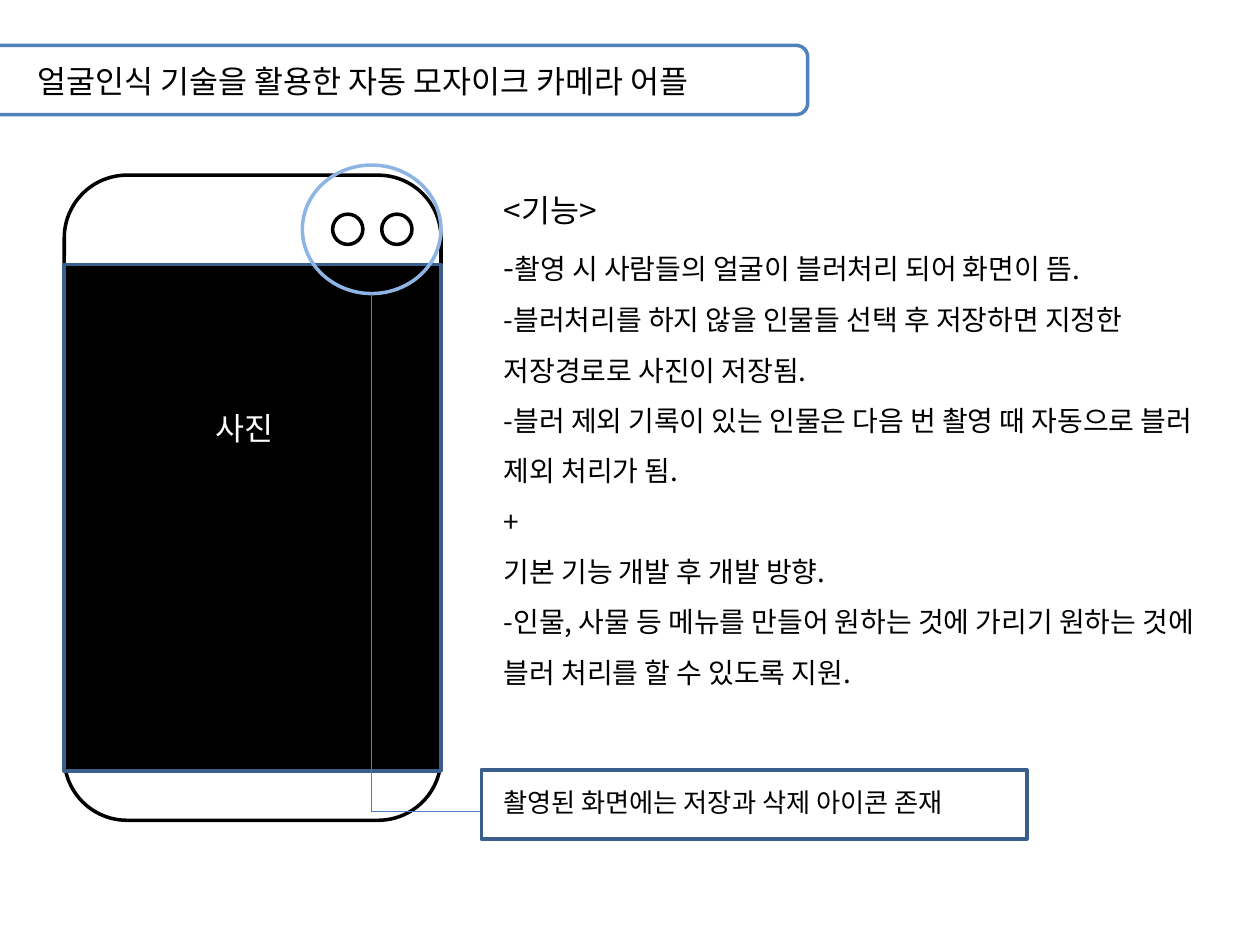
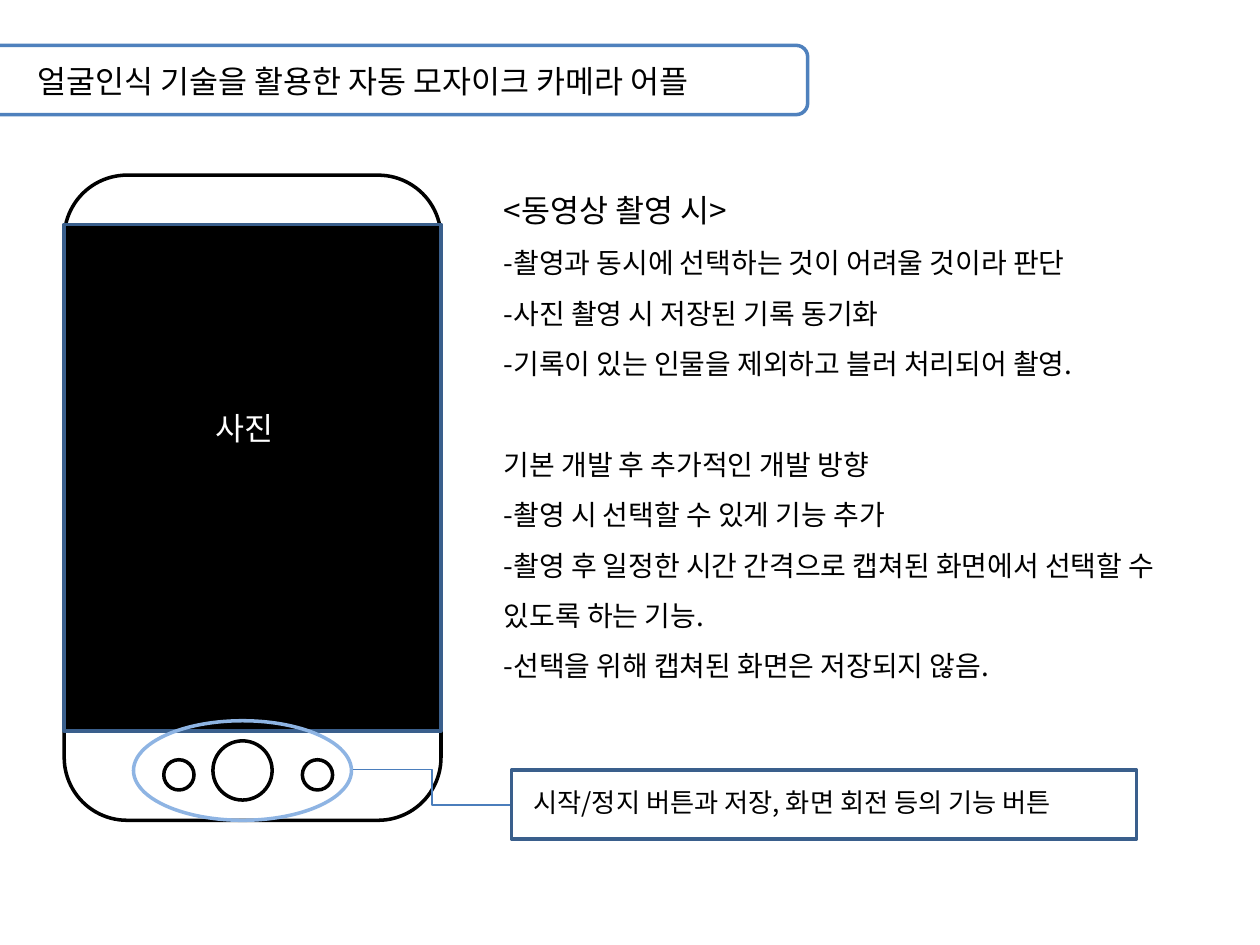
from lxml.etree import SubElement
from pptx import Presentation
from pptx.dml.color import RGBColor
from pptx.enum.shapes import MSO_CONNECTOR, MSO_SHAPE
from pptx.enum.text import MSO_AUTO_SIZE
from pptx.oxml.ns import qn
from pptx.util import Inches, Pt

# The slide is a grid of 100 columns by 75 rows, each cell 0.1 inch.
COLUMNS, ROWS, CELL = 100, 75, 0.1

BLACK = RGBColor(0x00, 0x00, 0x00)
WHITE = RGBColor(0xFF, 0xFF, 0xFF)
TITLE_BLUE = RGBColor(0x4F, 0x81, 0xBD)
FRAME_BLUE = RGBColor(0x3A, 0x5F, 0x8C)
RING_BLUE = RGBColor(0x8E, 0xB4, 0xE3)
LINK_BLUE = RGBColor(0x4B, 0x7E, 0xBC)

FONT = "Noto Sans CJK KR"
HEADING_SIZE, BODY_SIZE, CALLOUT_SIZE = 18, 16, 15
BODY_SPACING = 1.5
SECTION_GAP = 28.8  # one body line, in points

TITLE = "얼굴인식 기술을 활용한 자동 모자이크 카메라 어플"
PHONE_LEFT, PHONE_WIDTH = 5.1, 29.9
CALLOUT_TOP, CALLOUT_HEIGHT = 61.1, 5.5
BUTTON = 2.4


def grid(*cells):
    """Turn grid cells into lengths."""
    return [Inches(cell * CELL) for cell in cells]


class Deck:
    """Holds the style and the slide being drawn."""

    def __init__(self):
        self.presentation = Presentation()
        self.presentation.slide_width, self.presentation.slide_height = grid(COLUMNS, ROWS)
        self.slide = None

    def new_slide(self):
        """Start a blank slide with the shared title band."""
        self.slide = self.presentation.slides.add_slide(self.presentation.slide_layouts[6])
        self.outline(MSO_SHAPE.ROUNDED_RECTANGLE, (-2.8, 3.6, 66.9, 5.5), TITLE_BLUE)
        self.text((2, 4.4, 63, 4), TITLE)

    def outline(self, kind, box, color, fill=None):
        """Draw an outlined preset shape, empty unless a fill is given."""
        shape = self.slide.shapes.add_shape(kind, *grid(*box))
        shape.shadow.inherit = False
        if fill is None:
            shape.fill.background()
        else:
            shape.fill.solid()
            shape.fill.fore_color.rgb = fill
        shape.line.color.rgb = color
        shape.line.width = Pt(2)

    def style(self, paragraph, size, color=BLACK):
        """Set the font of a paragraph, for Latin and Korean letters."""
        font = paragraph.font
        font.size = Pt(size)
        font.color.rgb = color
        font.name = FONT
        defaults = paragraph._p.pPr.find(qn("a:defRPr"))
        SubElement(defaults, qn("a:ea")).set("typeface", FONT)

    def text(self, box, words, size=HEADING_SIZE, color=BLACK):
        """Add a text box with one paragraph and return its frame."""
        frame = self.slide.shapes.add_textbox(*grid(*box)).text_frame
        frame.word_wrap = True
        frame.auto_size = MSO_AUTO_SIZE.SHAPE_TO_FIT_TEXT
        frame.text = words
        self.style(frame.paragraphs[0], size, color)
        return frame

    def body(self, height, heading, sections, large_dash=False):
        """Add a heading and sections of lines set apart by one line."""
        frame = self.text((39, 14.7, 58.3, height), heading)
        for section_index, lines in enumerate(sections):
            for line_index, line in enumerate(lines):
                paragraph = frame.add_paragraph()
                paragraph.line_spacing = BODY_SPACING
                if section_index and not line_index:
                    paragraph.space_before = Pt(SECTION_GAP)
                self.style(paragraph, BODY_SIZE)
                if large_dash and section_index == line_index == 0:
                    paragraph.add_run().text = line[0]
                    paragraph.runs[0].font.size = Pt(HEADING_SIZE)
                    line = line[1:]
                paragraph.add_run().text = line

    def phone(self, screen_top, buttons):
        """Draw the phone, its round parts and its labelled screen."""
        self.outline(MSO_SHAPE.ROUNDED_RECTANGLE, (PHONE_LEFT, 13.9, PHONE_WIDTH, 51.2), BLACK)
        for left, top, diameter in buttons:
            self.ring((left, top, diameter, diameter), BLACK)
        self.outline(MSO_SHAPE.RECTANGLE, (PHONE_LEFT, screen_top, PHONE_WIDTH, 40.2),
                     FRAME_BLUE, BLACK)
        self.text((16.1, 32, 8.7, 4), "사진", color=WHITE)

    def ring(self, box, color=RING_BLUE):
        """Draw an open ellipse."""
        self.outline(MSO_SHAPE.OVAL, box, color)

    def elbow(self, start, end, bend=0.5, down_first=False):
        """Link two points with a bent line, leaving sideways or downwards."""
        width, height = end[0] - start[0], end[1] - start[1]
        middle_x, middle_y = start[0] + width / 2, start[1] + height / 2
        if down_first:
            width, height = height, width
        left, top = middle_x - width / 2, middle_y - height / 2
        connector = self.slide.shapes.add_connector(
            MSO_CONNECTOR.ELBOW, *grid(left, top, left + width, top + height))
        connector.line.color.rgb = LINK_BLUE
        connector.line.width = Pt(0.75)
        properties = connector._element.spPr
        if down_first:
            transform = properties.find(qn("a:xfrm"))
            transform.set("rot", str(270 * 60000))
            transform.set("flipH", "1")
        guide = SubElement(properties.find(qn("a:prstGeom")).find(qn("a:avLst")), qn("a:gd"))
        guide.set("name", "adj1")
        guide.set("fmla", f"val {round(bend * 100000)}")
        SubElement(properties, qn("a:effectLst"))

    def callout(self, left, width, words):
        """Add a framed remark beside the foot of the phone."""
        self.text((left + 0.75, CALLOUT_TOP + 0.8, width, 3.5), words, CALLOUT_SIZE)
        self.outline(MSO_SHAPE.RECTANGLE, (left, CALLOUT_TOP, width, CALLOUT_HEIGHT), FRAME_BLUE)


def photo_slide(deck):
    """Build the slide on what the app does with photos."""
    deck.new_slide()
    deck.body(44.9, "<기능>", [[
        "-촬영 시 사람들의 얼굴이 블러처리 되어 화면이 뜸.",
        "-블러처리를 하지 않을 인물들 선택 후 저장하면 지정한 저장경로로 사진이 저장됨.",
        "-블러 제외 기록이 있는 인물은 다음 번 촬영 때 자동으로 블러 제외 처리가 됨.",
        "+",
        "기본 기능 개발 후 개발 방향.",
        "-인물, 사물 등 메뉴를 만들어 원하는 것에 가리기 원하는 것에 블러 처리를 할 수 있도록 지원.",
    ]], large_dash=True)
    deck.phone(21, [(left, 17, BUTTON) for left in (26.4, 30.3)])
    deck.ring((24, 13.1, 11, 10.2))
    deck.elbow((29.5, 23.3), (38.2, 64.3), bend=1.003, down_first=True)
    deck.callout(38.2, 43.3, "촬영된 화면에는 저장과 삭제 아이콘 존재")


def video_slide(deck):
    """Build the slide on recording video."""
    deck.new_slide()
    deck.body(40.4, "<동영상 촬영 시>", [[
        "-촬영과 동시에 선택하는 것이 어려울 것이라 판단",
        "-사진 촬영 시 저장된 기록 동기화",
        "-기록이 있는 인물을 제외하고 블러 처리되어 촬영.",
    ], [
        "기본 개발 후 추가적인 개발 방향",
        "-촬영 시 선택할 수 있게 기능 추가",
        "-촬영 후 일정한 시간 간격으로 캡쳐된 화면에서 선택할 수 있도록 하는 기능.",
        "-선택을 위해 캡쳐된 화면은 저장되지 않음.",
    ]])
    deck.phone(17.8, [(13, 60.3, BUTTON), (16.9, 58.8, 4.7), (24, 60.3, BUTTON)])
    deck.ring((10.6, 57.2, 17.3, 7.9))
    deck.elbow((28, 61.1), (40.6, 63.9))
    deck.callout(40.6, 49.6, "시작/정지 버튼과 저장, 화면 회전 등의 기능 버튼")


def main():
    """Build and save the presentation."""
    deck = Deck()
    photo_slide(deck)
    video_slide(deck)
    deck.presentation.save("out.pptx")


main()
